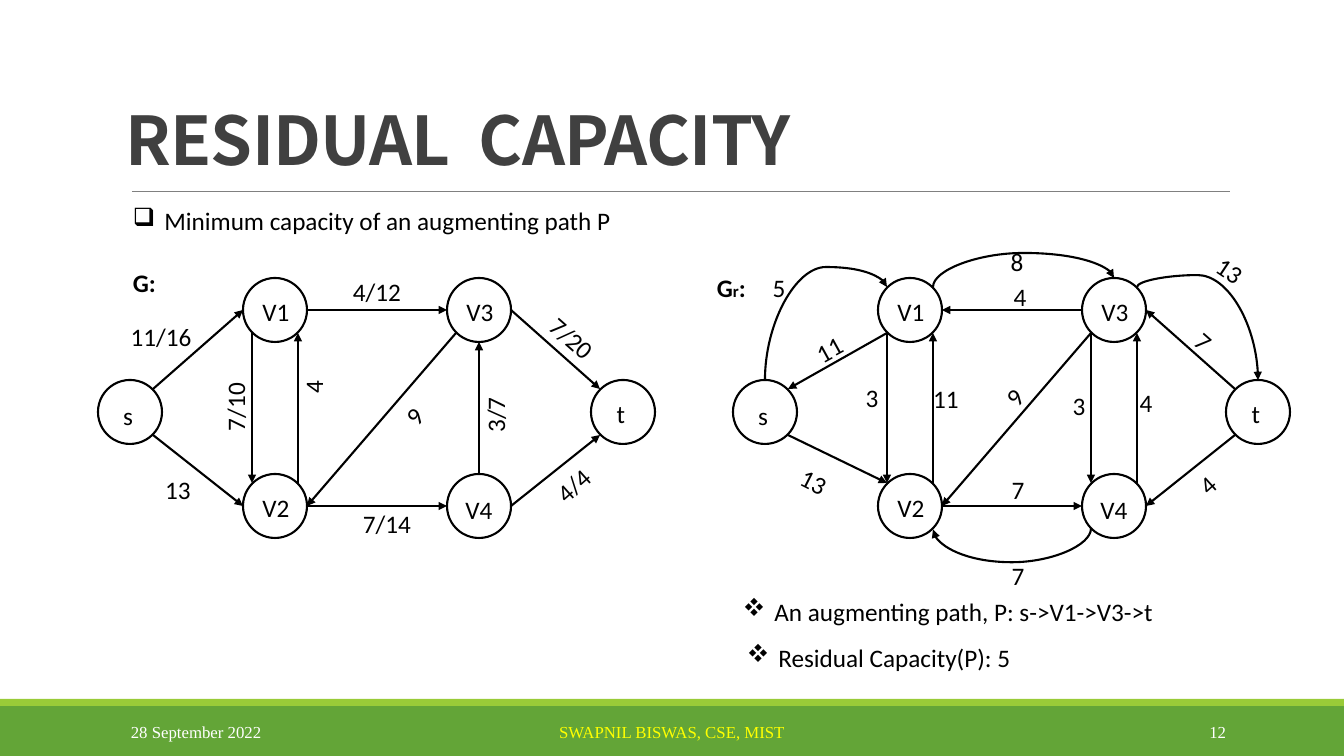
from lxml.etree import SubElement
from pptx import Presentation
from pptx.dml.color import RGBColor
from pptx.enum.shapes import MSO_CONNECTOR, MSO_SHAPE
from pptx.enum.text import MSO_ANCHOR, MSO_AUTO_SIZE, PP_ALIGN
from pptx.oxml.ns import qn
from pptx.util import Pt

PX = 914400 / 100.8
BLACK = RGBColor(0, 0, 0)
WHITE = RGBColor(255, 255, 255)
YELLOW = RGBColor(255, 255, 0)
GREEN = RGBColor(0x63, 0xA5, 0x37)
LIME = RGBColor(0x99, 0xCB, 0x38)
GRAY = RGBColor(0x80, 0x80, 0x80)
DARK = RGBColor(0x40, 0x40, 0x40)

deck = Presentation()
deck.slide_width, deck.slide_height = int(1344 * PX), int(756 * PX)
slide = deck.slides.add_slide(deck.slide_layouts[5])
shapes = slide.shapes


def write(runs, x, y, w, h, align=PP_ALIGN.LEFT, color=BLACK, font="Calibri",
          bold=False):
    """Add a one-line text box; runs are pairs of text and point size."""
    box = shapes.add_textbox(*[int(v * PX) for v in (x, y, w, h)])
    frame = box.text_frame
    frame.word_wrap = False
    frame.auto_size = MSO_AUTO_SIZE.SHAPE_TO_FIT_TEXT
    par = frame.paragraphs[0]
    par.alignment = align
    for text, size in runs:
        run = par.add_run()
        run.text = text
        run.font.size = Pt(size)
        run.font.name = font
        run.font.bold = bold
        run.font.color.rgb = color
    return box


def link(kind, x1, y1, x2, y2, color=BLACK, width=1.5, arrow=True):
    """Add a line without shadow, by default with an arrowhead at its end."""
    line = shapes.add_connector(kind, *[int(v * PX) for v in (x1, y1, x2, y2)])
    line.line.color.rgb = color
    line.line.width = Pt(width)
    props = line._element.spPr
    if arrow:
        SubElement(props.find(qn("a:ln")), qn("a:tailEnd"), type="triangle")
    SubElement(props, qn("a:effectLst"))
    return line


# Footer bands and title rule
for y, h, color in [(706, 50, GREEN), (699, 7, LIME)]:
    band = shapes.add_shape(MSO_SHAPE.RECTANGLE, 0, int(y * PX),
                            deck.slide_width, int(h * PX))
    band.shadow.inherit = False
    band.fill.solid()
    band.fill.fore_color.rgb = color
    band.line.fill.background()
link(MSO_CONNECTOR.STRAIGHT, 132, 191, 1230, 191, GRAY, 0.5, False)

# Title
title = shapes.title
title.left, title.top, title.width, title.height = [
    int(v * PX) for v in (115, 38, 1076, 146)]
frame = title.text_frame
frame.auto_size = MSO_AUTO_SIZE.NONE
frame.vertical_anchor = MSO_ANCHOR.BOTTOM
par = frame.paragraphs[0]
par.alignment = PP_ALIGN.LEFT
par.line_spacing = 0.85
run = par.add_run()
run.text = "RESIDUAL  CAPACITY"
run.font.size = Pt(48)
run.font.name = "Noto Sans CJK SC"
run.font.bold = True
run.font.color.rgb = DARK
props = run._r.get_or_add_rPr()
props.set("spc", "-50")
SubElement(props, qn("a:ea"), typeface="Noto Sans CJK SC")

# Node centres of the left graph, nudges of their names, and rim points
NODES = {"s": (130, 412), "V1": (275, 310), "V2": (275, 506),
         "V3": (479, 310), "V4": (479, 506), "t": (623, 412)}
NUDGE = {"s": (-2, 2), "V1": (1, 0), "V2": (1, 0),
         "V3": (1, 0), "V4": (0, 2), "t": (-2, 0)}
RAD, DIAG, SHIFT = 32, 23, 635
SIDES = {"N": (0, -RAD), "S": (0, RAD), "W": (-RAD, 0), "E": (RAD, 0),
         "NW": (-DIAG, -DIAG), "NE": (DIAG, -DIAG),
         "SW": (-DIAG, DIAG), "SE": (DIAG, DIAG)}

# Edges: from node and side, to node and side
BOTH = ["s SE V2 {}", "V1 SW V2 NW", "V2 NE V1 SE", "V3 SW V2 E", "V2 E V4 W"]
FLOW = ["s NE V1 W", "V1 E V3 W", "V3 E t NW", "V4 E t SW", "V4 N V3 S"]
REST = ["V1 SW s NE", "V3 W V1 E", "t NW V3 E", "t SW V4 E",
        "V3 SW V4 NW", "V4 NE V3 SE"]
# Curved edges of the residual graph, with the height of the bend
CURVES = [("s N V1 NW", 267), ("V1 NE V3 N", 253),
          ("V3 NE t N", 275), ("V4 SW V2 SE", 563)]

for shift, entry, extra, curves in [(0, "W", FLOW, []),
                                    (SHIFT, "NW", REST, CURVES)]:
    for name, (x, y) in NODES.items():
        x += shift
        node = shapes.add_shape(MSO_SHAPE.OVAL, int((x - RAD) * PX),
                                int((y - RAD) * PX), int(2 * RAD * PX),
                                int(2 * RAD * PX))
        node.shadow.inherit = False
        node.fill.background()
        node.line.color.rgb = BLACK
        node.line.width = Pt(1.5)
        dx, dy = NUDGE[name]
        w = 16 + 17 * len(name)
        write([(name, 18)], x + dx - w / 2, y + dy - 19, w, 40,
              PP_ALIGN.CENTER)

    edges = [(edge.format(entry), None) for edge in BOTH + extra] + curves
    for edge, bend in edges:
        tail, out, head, into = edge.split()
        x1, y1, x2, y2 = [
            NODES[name][i] + SIDES[side][i] + (0 if i else shift)
            for name, side in [(tail, out), (head, into)] for i in (0, 1)]
        if bend is None:
            link(MSO_CONNECTOR.STRAIGHT, x1, y1, x2, y2)
            continue
        # Quarter-turned connector around the midpoint, flipped to its ends
        rise, span = y2 - y1 or 1, abs(x2 - x1)
        midx, midy, half = (x1 + x2) / 2, (y1 + y2) / 2, abs(rise) / 2
        curve = link(MSO_CONNECTOR.CURVE, midx - half, midy - span / 2,
                     midx + half, midy + span / 2)
        props = curve._element.spPr
        form = props.find(qn("a:xfrm"))
        form.set("rot", "5400000")
        form.set("flipH", str(int(rise < 0)))
        form.set("flipV", str(int(x2 > x1)))
        guides = props.find(qn("a:prstGeom")).get_or_add_avLst()
        SubElement(guides, qn("a:gd"), name="adj1",
                   fmla=f"val {round((bend - y1) / rise * 100000)}")

# Edge labels: text, centre, rotation
LABELS = [
    ("11/16", 161, 336, 0), ("13", 178, 489, 0), ("7/10", 235, 407, 270),
    ("4", 313, 387, 270), ("4/12", 377, 291, 0), ("7/14", 387, 523, 0),
    ("9", 414, 416, 311.6), ("7/20", 572, 338, 41.5), ("3/7", 495, 415, 270),
    ("4/4", 573, 485, 318.3),
    ("11", 829, 349, 331.1), ("5", 779, 287, 0), ("4", 1020, 296, 0),
    ("8", 1017, 261, 0), ("13", 814, 481, 26.8), ("9", 1014, 397, 310.8),
    ("4", 1146, 402, 0), ("3", 1079, 405, 0), ("7", 1018, 489, 0),
    ("7", 1018, 575, 0), ("4", 1207, 485, 317.9), ("7", 1204, 341, 41.6),
    ("13", 1230, 270, 33.8), ("11", 946, 398, 0), ("3", 872, 397, 0)]
for text, x, y, turn in LABELS:
    w = 22 + 12 * len(text)
    box = write([(text, 18)], x - w / 2, y - 20, w, 40, PP_ALIGN.CENTER)
    box.rotation = turn

# Graph names
write([("G:", 18)], 123, 262, 43, 40, bold=True)
write([("G", 18), ("r", 12), (":", 18)], 707, 267, 50, 40, bold=True)

# Bulleted statements, with Wingdings box (q) and diamond (v) marks
for mark, text, x, y, w in [
        ("q", "Minimum capacity of an augmenting path P", 123, 200, 504),
        ("v", "An augmenting path, P: s->V1->V3->t", 733, 591, 435),
        ("v", "Residual Capacity(P): 5", 737, 637, 287)]:
    box = write([(text, 18)], x, y, w, 40)
    props = box.text_frame.paragraphs[0]._p.get_or_add_pPr()
    props.set("marL", "285750")
    props.set("indent", "-285750")
    SubElement(props, qn("a:buFont"), typeface="Wingdings", charset="2")
    SubElement(props, qn("a:buChar"), char=mark)

# Footer texts
for text, x, w, align, color in [
        ("28 September 2022", 121, 272, PP_ALIGN.LEFT, WHITE),
        ("SWAPNIL BISWAS, CSE, MIST", 406, 532, PP_ALIGN.CENTER, YELLOW),
        ("12", 1092, 144, PP_ALIGN.RIGHT, WHITE)]:
    box = write([(text, 12)], x, 712, w, 40, align, color, "Times New Roman")
    box.text_frame.word_wrap = True
    box.text_frame.auto_size = MSO_AUTO_SIZE.NONE
    box.text_frame.vertical_anchor = MSO_ANCHOR.MIDDLE

deck.save("out.pptx")
